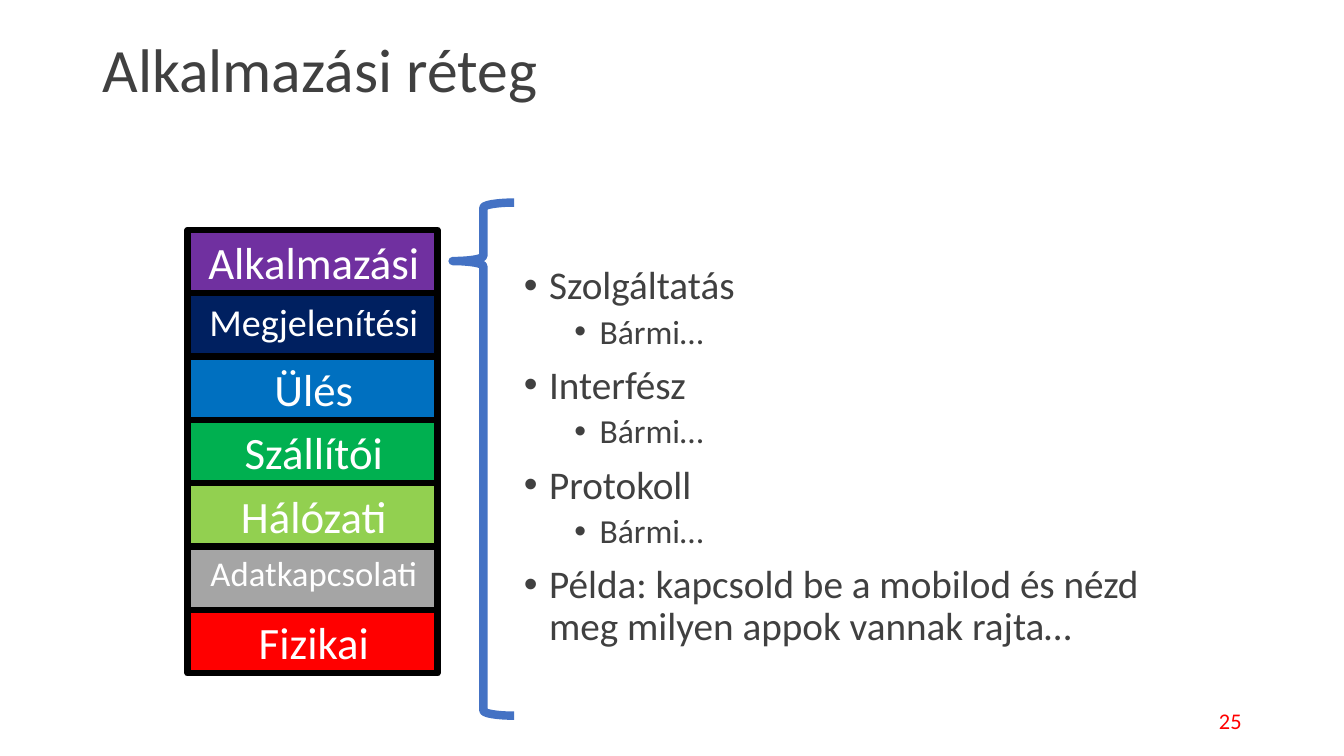
from dataclasses import dataclass
from lxml import etree
from pptx import Presentation
from pptx import util as u
from pptx.dml.color import RGBColor
from pptx.enum import shapes, text
from pptx.oxml import ns

TITLE = "Alkalmazási réteg"
PAGE = "25"
LAYERS = [
    ("Alkalmazási", "7030A0", 32),
    ("Megjelenítési", "002060", 27.2),
    ("Ülés", "0070C0", 32),
    ("Szállítói", "00B050", 32),
    ("Hálózati", "92D050", 32),
    ("Adatkapcsolati", "A5A5A5", 24.8),
    ("Fizikai", "FF0000", 32),
]
POINTS = [
    (0, "Szolgáltatás"),
    (1, "Bármi…"),
    (0, "Interfész"),
    (1, "Bármi…"),
    (0, "Protokoll"),
    (1, "Bármi…"),
    (0, "Példa: kapcsold be a mobilod és nézd meg milyen appok vannak rajta…"),
]


@dataclass
class Theme:
    face: str = "Calibri"
    ink: str = "404040"
    light: str = "FFFFFF"
    edge: str = "000000"
    brace: str = "4472C4"
    page: str = "FF0000"
    head: int = 44
    small: int = 16
    body: tuple = (28, 24)
    gap: tuple = (10, 5)
    indent: tuple = (18, 54)


theme = Theme()
LEFT, TOP, WIDTH, STEP = 134, 164.2, 178.5, 45.25


def style(para, size, color):
    font = para.font
    font.name, font.size = theme.face, u.Pt(size)
    font.color.rgb = RGBColor.from_string(color)


def place(shape, *box):
    shape.left, shape.top, shape.width, shape.height = map(u.Pt, box)


def add_box(slide, *box):
    frame = slide.shapes.add_textbox(*map(u.Pt, box)).text_frame
    frame.word_wrap = True
    frame.vertical_anchor = text.MSO_ANCHOR.MIDDLE
    return frame


def add_form(slide, kind, box, color, width):
    shape = slide.shapes.add_shape(kind, *map(u.Pt, box))
    shape.shadow.inherit = False
    shape.line.color.rgb = RGBColor.from_string(color)
    shape.line.width = u.Pt(width)
    return shape


def add_title(slide):
    title = slide.shapes.title
    place(title, 66, -0.7, 828, 104.4)
    frame = title.text_frame
    frame.text = TITLE
    frame.auto_size = text.MSO_AUTO_SIZE.NONE
    frame.vertical_anchor = text.MSO_ANCHOR.MIDDLE
    para = frame.paragraphs[0]
    para.alignment = text.PP_ALIGN.LEFT
    para.line_spacing = 0.9
    style(para, theme.head, theme.ink)


def add_page(slide):
    para = add_box(slide, 678, 500.5, 216, 28.8).paragraphs[0]
    para.text = PAGE
    para.alignment = text.PP_ALIGN.RIGHT
    style(para, theme.small, theme.page)


def add_points(slide):
    frame = add_box(slide, 367.2, 126, 460.8, 401.8)
    for i, (level, words) in enumerate(POINTS):
        para = frame.add_paragraph() if i else frame.paragraphs[0]
        para.text, para.level, para.line_spacing = words, level, 0.9
        para.space_before = u.Pt(theme.gap[level] if i else 0)
        props = para._p.get_or_add_pPr()
        props.set("marL", str(u.Pt(theme.indent[level])))
        props.set("indent", str(u.Pt(-18)))
        etree.SubElement(props, ns.qn("a:buFont")).set("typeface", "Arial")
        etree.SubElement(props, ns.qn("a:buChar")).set("char", "•")
        style(para, theme.body[level], theme.ink)


def add_brace(slide):
    box = (323.3, 144.7, 43.9, 366.5)
    brace = add_form(slide, shapes.MSO_SHAPE.LEFT_BRACE, box, theme.brace, 6)
    brace.fill.background()
    brace.adjustments[0] = 0.083
    brace.adjustments[1] = 0.114


def add_layers(slide):
    for i, (name, color, size) in enumerate(LAYERS):
        box = (LEFT, TOP + i * STEP, WIDTH, STEP)
        layer = add_form(slide, shapes.MSO_SHAPE.RECTANGLE, box, theme.edge, 4.5)
        layer.fill.solid()
        layer.fill.fore_color.rgb = RGBColor.from_string(color)
        frame = layer.text_frame
        frame.margin_left = u.Pt(9)
        frame.vertical_anchor = text.MSO_ANCHOR.TOP
        para = frame.paragraphs[0]
        para.text = name
        para.alignment = text.PP_ALIGN.CENTER
        style(para, size, theme.light)


def main():
    deck = Presentation()
    deck.slide_width, deck.slide_height = u.Pt(960), u.Pt(540)
    slide = deck.slides.add_slide(deck.slide_layouts[5])
    for add in (add_title, add_page, add_points, add_brace, add_layers):
        add(slide)
    deck.save("out.pptx")


if __name__ == "__main__":
    main()
